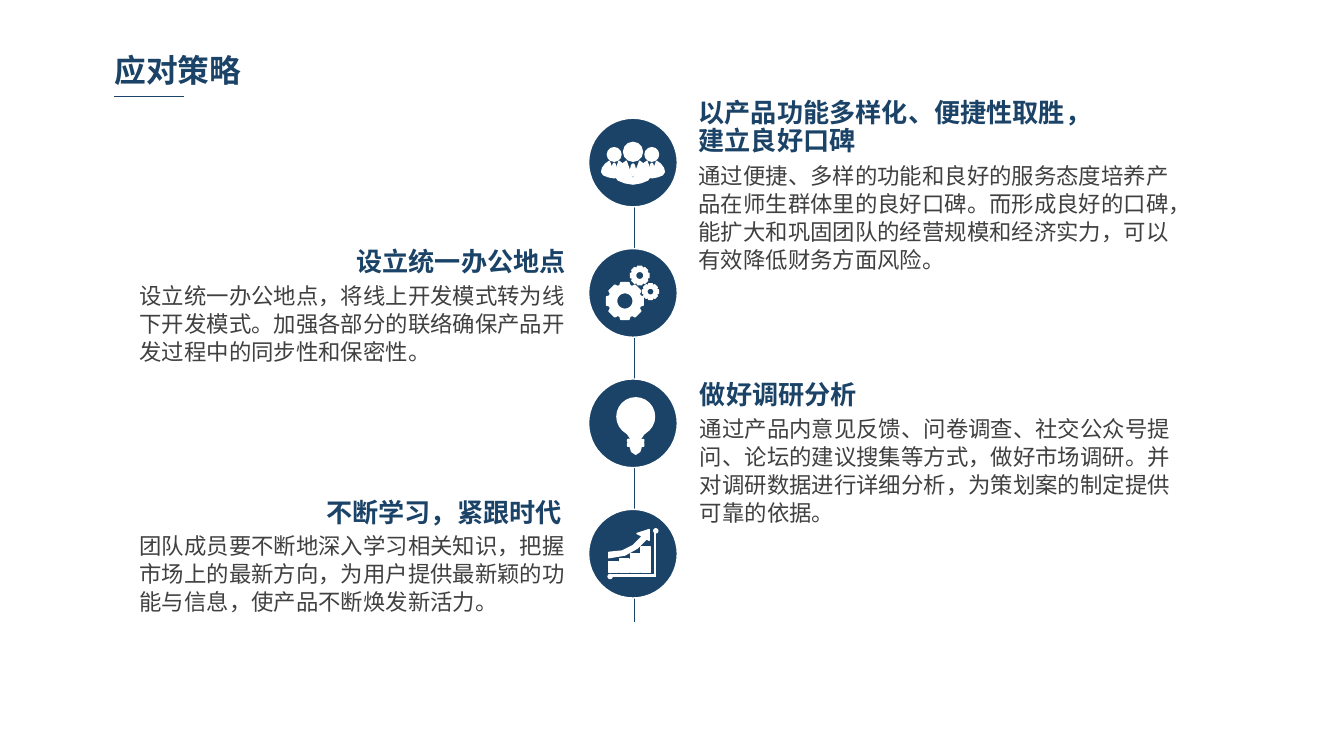
from math import cos, pi, sin

from lxml.etree import SubElement
from pptx import Presentation
from pptx.dml.color import RGBColor
from pptx.enum.shapes import MSO_CONNECTOR, MSO_SHAPE
from pptx.enum.text import MSO_ANCHOR, MSO_AUTO_SIZE, PP_ALIGN
from pptx.oxml.ns import qn
from pptx.util import Inches, Pt

NAVY = RGBColor(0x1B, 0x43, 0x67)
GRAY = RGBColor(0x40, 0x40, 0x40)
WHITE = RGBColor(0xFF, 0xFF, 0xFF)
FONT = "Noto Sans CJK SC"

AXIS_X = 4.72
DISC_X = 4.71
FIRST_Y, PITCH = 1.21, 0.97
DISC_SIZE = 0.66

HEADINGS = [
    ("以产品功能多样化、便捷性取胜，建立良好口碑", (5.1, 0.69, 3.15, 0.52), PP_ALIGN.LEFT),
    ("设立统一办公地点", (2.13, 1.8, 2.18, 0.31), PP_ALIGN.RIGHT),
    ("做好调研分析", (5.11, 2.79, 2.17, 0.31), PP_ALIGN.LEFT),
    ("不断学习，紧跟时代", (1.93, 3.67, 2.35, 0.31), PP_ALIGN.RIGHT),
]
DETAILS = [
    ("通过便捷、多样的功能和良好的服务态度培养产品在师生群体里的良好口碑。而形成良好的口碑，"
     "能扩大和巩固团队的经营规模和经济实力，可以有效降低财务方面风险。", (5.1, 1.15, 3.84, 0.92)),
    ("设立统一办公地点，将线上开发模式转为线下开发模式。加强各部分的联络确保产品开发过程中的"
     "同步性和保密性。", (0.94, 2.04, 3.39, 0.71)),
    ("通过产品内意见反馈、问卷调查、社交公众号提问、论坛的建议搜集等方式，做好市场调研。"
     "并对调研数据进行详细分析，为策划案的制定提供可靠的依据。", (5.11, 3.03, 3.73, 0.92)),
    ("团队成员要不断地深入学习相关知识，把握市场上的最新方向，为用户提供最新颖的功能与信息，"
     "使产品不断焕发新活力。", (0.94, 3.9, 3.39, 0.92)),
]


def format_paragraph(paragraph, size, color, bold=False, align=PP_ALIGN.LEFT):
    """Set alignment and Latin and East Asian fonts of a paragraph."""
    paragraph.alignment = align
    font = paragraph.font
    font.name, font.size, font.bold = FONT, Pt(size), bold
    font.color.rgb = color
    properties = paragraph._p.pPr.find(qn("a:defRPr"))
    SubElement(properties, qn("a:ea")).set("typeface", FONT)


def add_title(slide, text):
    """Fill and place the title placeholder."""
    title = slide.shapes.title
    title.left, title.top = Inches(0.78), Inches(0.34)
    title.width, title.height = Inches(2.47), Inches(0.36)
    frame = title.text_frame
    frame.text = text
    frame.auto_size = MSO_AUTO_SIZE.NONE
    frame.vertical_anchor = MSO_ANCHOR.TOP
    frame.margin_left = frame.margin_right = Inches(0.07)
    frame.margin_top = frame.margin_bottom = Inches(0.04)
    format_paragraph(frame.paragraphs[0], 17, NAVY, True)


def add_text(slide, text, box, size, color, bold=False, align=PP_ALIGN.LEFT):
    """Add a wrapped text box with fixed line spacing."""
    frame = slide.shapes.add_textbox(*map(Inches, box)).text_frame
    frame.word_wrap = True
    frame.text = text
    paragraph = frame.paragraphs[0]
    paragraph.line_spacing = Pt(15)
    format_paragraph(paragraph, size, color, bold, align)


def add_line(slide, x1, y1, x2, y2):
    """Add a thin navy straight line."""
    line = slide.shapes.add_connector(MSO_CONNECTOR.STRAIGHT, *map(Inches, (x1, y1, x2, y2)))
    line.line.color.rgb = NAVY
    line.line.width = Pt(0.75)
    SubElement(line._element.spPr, qn("a:effectLst"))


def paint(shape, color=WHITE):
    """Give a shape a solid fill and a thin white outline."""
    shape.shadow.inherit = False
    shape.fill.solid()
    shape.fill.fore_color.rgb = color
    shape.line.color.rgb = WHITE
    shape.line.width = Pt(0.75)


def add_preset(group, kind, left, top, width, height):
    """Add a white preset shape to an icon."""
    paint(group.shapes.add_shape(kind, *map(Inches, (left, top, width, height))))


def add_disc(group, x, y, size, color=WHITE):
    """Add a circle around a centre."""
    box = (x - size / 2, y - size / 2, size, size)
    paint(group.shapes.add_shape(MSO_SHAPE.OVAL, *map(Inches, box)), color)


def add_outline(group, *contours):
    """Add one white freeform made of closed contours."""
    paths = [[(Inches(x), Inches(y)) for x, y in contour] for contour in contours]
    builder = group.shapes.build_freeform(*paths[0][0])
    builder.add_line_segments(paths[0][1:], close=True)
    for path in paths[1:]:
        builder.move_to(*path[0])
        builder.add_line_segments(path[1:], close=True)
    paint(builder.convert_to_shape())


def add_person(group, x, top, scale):
    """Add a head, a collared body and a tie."""
    def mirror(points):
        """Place a half outline and its mirror image about the axis."""
        half = [(dx * scale, top + dy * scale) for dx, dy in points]
        return [(x + dx, y) for dx, y in half] + [(x - dx, y) for dx, y in reversed(half)]

    add_disc(group, x, top - 0.07 * scale, 0.14 * scale)
    add_outline(group, mirror([(0, 0.14), (0.05, 0), (0.09, 0.03), (0.12, 0.07),
                               (0.13, 0.11), (0.11, 0.14), (0.06, 0.16), (0, 0.17)]))
    add_outline(group, mirror([(0, 0.02), (0.01, 0.03), (0.02, 0.07), (0, 0.11)]))


def draw_team(group, x, y):
    """Draw three people."""
    for offset in (-0.14, 0.14):
        add_person(group, x + offset, y - 0.01, 0.72)
    add_person(group, x, y - 0.01, 1)


def add_gear(group, x, y, radius):
    """Add an eight-toothed gear with a round hole."""
    def polar(distance, angle):
        """Find a point around the gear centre."""
        return x + distance * cos(angle), y + distance * sin(angle)

    teeth = [polar(radius * reach, pi * (tooth / 4 + shift))
             for tooth in range(8)
             for reach, shift in ((0.86, -0.1), (1, -0.07), (1, 0.07), (0.86, 0.1))]
    hole = [polar(radius * 0.44, -pi * step / 16) for step in range(32)]
    add_outline(group, teeth, hole)


def draw_gears(group, x, y):
    """Draw three gears."""
    for dx, dy, radius in ((-0.06, 0.06, 0.14), (0.05, -0.13, 0.07), (0.13, -0.01, 0.06)):
        add_gear(group, x + dx, y + dy, radius)


def draw_bulb(group, x, y):
    """Draw a light bulb."""
    x += 0.02
    add_disc(group, x, y - 0.05, 0.28)
    add_outline(group, [(x - 0.11, y + 0.03), (x + 0.11, y + 0.03), (x + 0.06, y + 0.08),
                        (x + 0.04, y + 0.11), (x - 0.04, y + 0.11), (x - 0.06, y + 0.08)])
    for drop in (0.12, 0.15):
        add_preset(group, MSO_SHAPE.ROUNDED_RECTANGLE, x - 0.06, y + drop, 0.12, 0.02)
    add_outline(group, [(x - 0.04, y + 0.18), (x + 0.04, y + 0.18), (x + 0.03, y + 0.21),
                        (x, y + 0.23), (x - 0.03, y + 0.21)])


def draw_growth(group, x, y):
    """Draw rising bars, an arrow and two axes."""
    for step, height in enumerate((0.08, 0.1, 0.14, 0.19)):
        add_preset(group, MSO_SHAPE.RECTANGLE, x - 0.18 + step * 0.08, y + 0.14 - height, 0.07, height)
    arrow = [(0.12, -0.18), (0.03, -0.15), (0.07, -0.13), (0, -0.06), (-0.08, -0.02), (-0.18, -0.01),
             (-0.18, 0.03), (-0.06, 0.01), (0.03, -0.04), (0.1, -0.11), (0.12, -0.1)]
    axes = [(0.16, -0.17), (0.17, -0.17), (0.17, 0.17), (-0.16, 0.17), (-0.16, 0.16), (0.16, 0.16)]
    for outline in (arrow, axes):
        add_outline(group, [(x + dx, y + dy) for dx, dy in outline])
    for dx, dy in ((0.17, -0.17), (-0.17, 0.17)):
        add_disc(group, x + dx, y + dy, 0.03)


def main():
    """Build the strategy timeline slide."""
    presentation = Presentation()
    presentation.slide_width = Inches(10)
    presentation.slide_height = Inches(10 * 9 / 16)
    slide = presentation.slides.add_slide(presentation.slide_layouts[5])
    add_title(slide, "应对策略")
    add_line(slide, 0.85, 0.72, 1.37, 0.72)
    add_line(slide, AXIS_X, 0.96, AXIS_X, 4.63)
    for index, draw_icon in enumerate((draw_team, draw_gears, draw_bulb, draw_growth)):
        y = FIRST_Y + index * PITCH
        group = slide.shapes.add_group_shape()
        add_disc(group, DISC_X, y, DISC_SIZE, NAVY)
        draw_icon(group, DISC_X, y)
    for text, box, align in HEADINGS:
        add_text(slide, text, box, 14, NAVY, True, align)
    for text, box in DETAILS:
        add_text(slide, text, box, 12, GRAY)
    presentation.save("out.pptx")


if __name__ == "__main__":
    main()
